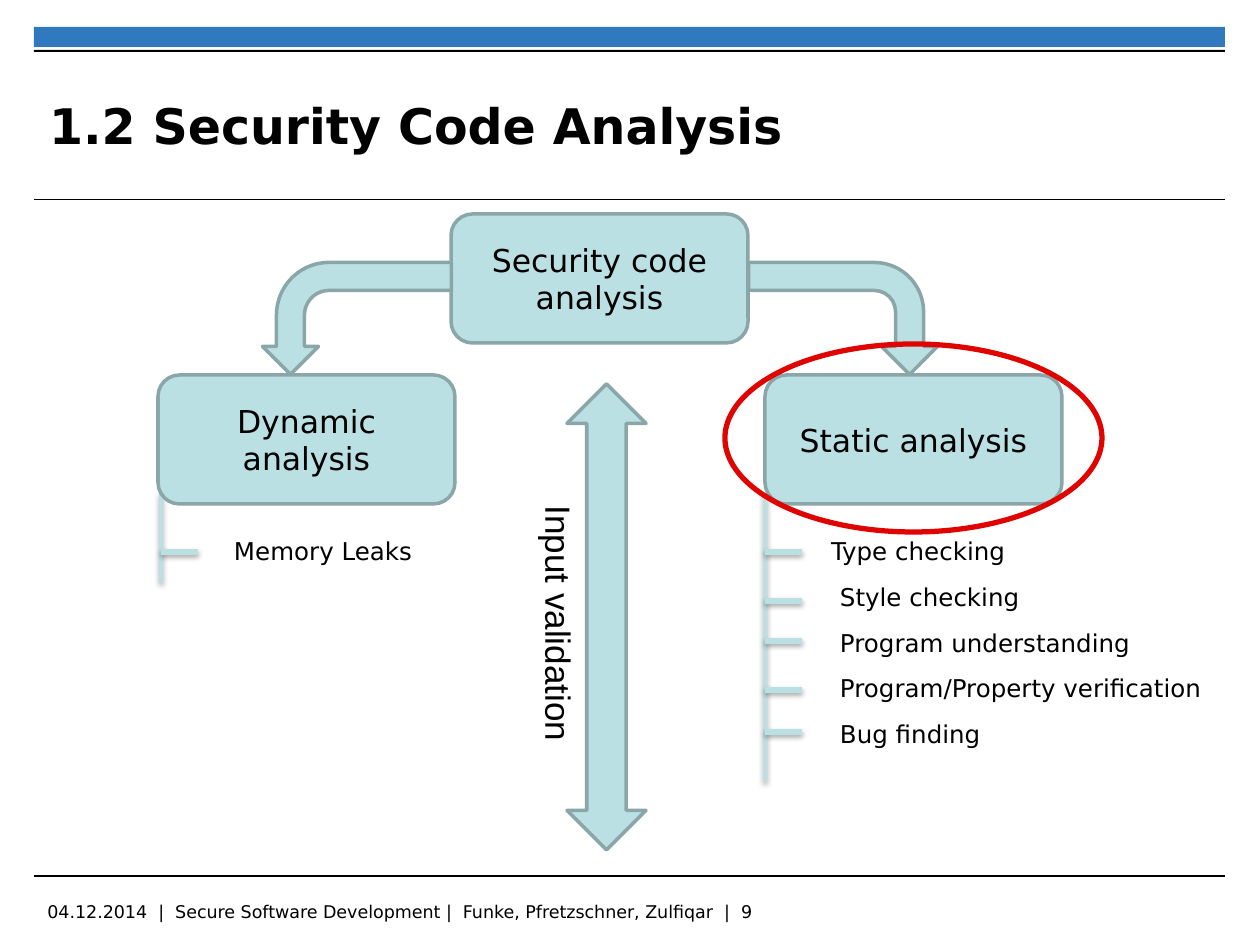
from lxml import etree
from pptx import Presentation
from pptx.dml.color import RGBColor
from pptx.enum.shapes import MSO_CONNECTOR as Connector, MSO_SHAPE as Shape
from pptx.enum.text import MSO_ANCHOR as Anchor, MSO_AUTO_SIZE as AutoSize, PP_ALIGN as Align
from pptx.oxml.ns import qn
from pptx.util import Emu, Pt

PX_PER_INCH = 126


def px(length):
    return Emu(round(length * 914400 / PX_PER_INCH))


def color(hex_string):
    return RGBColor.from_string(hex_string)


class SlideBuilder:
    FONT = "DejaVu Sans"
    INK = "000000"
    TEAL = "BBE0E3"
    EDGE = "8AA6A8"

    def __init__(self, slide):
        self.slide = slide

    def style_text(self, para, size, font=FONT, bold=False):
        for run in para.runs:
            run.font.name = font
            run.font.size = Pt(size)
            run.font.bold = bold
            run.font.color.rgb = color(self.INK)

    def title(self, text, left, top, width, height):
        box = self.slide.shapes.title
        box.left, box.top, box.width, box.height = map(px, (left, top, width, height))
        frame = box.text_frame
        frame.text = text
        frame.auto_size = AutoSize.NONE
        frame.vertical_anchor = Anchor.MIDDLE
        frame.margin_left = frame.margin_right = frame.margin_top = frame.margin_bottom = 0
        frame.paragraphs[0].alignment = Align.LEFT
        self.style_text(frame.paragraphs[0], 28, bold=True)

    def shape(self, kind, left, top, width, height, fill=TEAL, line=EDGE, weight=2, text=""):
        shape = self.slide.shapes.add_shape(kind, *map(px, (left, top, width, height)))
        shape.shadow.inherit = False
        if fill:
            shape.fill.solid()
            shape.fill.fore_color.rgb = color(fill)
        else:
            shape.fill.background()
        if line:
            shape.line.color.rgb = color(line)
            shape.line.width = Pt(weight)
        else:
            shape.line.fill.background()
        if text:
            frame = shape.text_frame
            frame.text = text
            frame.word_wrap = True
            frame.vertical_anchor = Anchor.MIDDLE
            frame.paragraphs[0].alignment = Align.CENTER
            self.style_text(frame.paragraphs[0], 18)
        return shape

    def bent_arrow(self, left, top, width, height, bend, flipped=False):
        arrow = self.shape(Shape.BENT_ARROW, left, top, width, height)
        arrow.rotation = 90
        arrow.adjustments[3] = bend
        if flipped:
            arrow.element.spPr.find(qn("a:xfrm")).set("flipV", "1")

    def line(self, x1, y1, x2, y2, hex_string=INK, weight=0.6, shadow=False):
        line = self.slide.shapes.add_connector(Connector.STRAIGHT, *map(px, (x1, y1, x2, y2)))
        line.line.color.rgb = color(hex_string)
        line.line.width = Pt(weight)
        effects = etree.SubElement(line.element.spPr, qn("a:effectLst"))
        if shadow:
            outer = etree.SubElement(effects, qn("a:outerShdw"), blurRad=str(Pt(3.1)),
                                     dist=str(Pt(1.7)), dir="5400000", rotWithShape="0")
            black = etree.SubElement(outer, qn("a:srgbClr"), val=self.INK)
            etree.SubElement(black, qn("a:alpha"), val="36000")

    def branch(self, x, top, bottom, ticks):
        self.line(x, top, x, bottom, self.TEAL, 2, shadow=True)
        for y in ticks:
            self.line(x, y, x + 37, y, self.TEAL, 3, shadow=True)

    def text(self, text, left, top, width, height, size, font=FONT):
        box = self.slide.shapes.add_textbox(*map(px, (left, top, width, height)))
        frame = box.text_frame
        frame.word_wrap = True
        frame.vertical_anchor = Anchor.MIDDLE
        frame.text = text
        for para in frame.paragraphs:
            self.style_text(para, size, font)
        return box

    def item_list(self, items, left, top, width, indent=0):
        """Items on an even pitch; those after the first are indented."""
        box = self.text("\n".join(items), left, top, width, 46 * len(items), 14)
        frame = box.text_frame
        frame.vertical_anchor = Anchor.TOP
        frame.margin_left = frame.margin_right = frame.margin_top = frame.margin_bottom = 0
        for index, para in enumerate(frame.paragraphs):
            para.line_spacing = Pt(26.1)
            if index:
                para._p.get_or_add_pPr().set("indent", str(px(indent)))


def main():
    deck = Presentation()
    deck.slide_width, deck.slide_height = px(1260), px(945)
    page = SlideBuilder(deck.slides.add_slide(deck.slide_layouts[5]))

    # Header and footer
    page.shape(Shape.RECTANGLE, 34, 27, 1191, 20, fill="3079BE", line=None)
    page.shape(Shape.RECTANGLE, 34, 50, 1191, 2, fill=page.INK, line=None)
    for y in (200, 876):
        page.line(34, y, 1225, y)
    page.title("1.2 Security Code Analysis", 49, 67, 915, 116)
    page.text("04.12.2014  |  Secure Software Development |  Funke, Pfretzschner, Zulfiqar  |  9",
              35, 895, 1071, 32, 10)

    # Branches below the two kinds of analysis
    page.branch(161, 493, 582, [552])
    page.branch(765, 493, 781, [552, 601, 641, 690, 732])
    page.item_list(["Memory Leaks"], 234, 520, 220)
    page.item_list(["Type checking", "Style checking", "Program understanding",
                    "Program/Property verification", "Bug finding"], 831, 520, 394, indent=9)

    # Tree of analyses
    for text, left, top in (("Security code analysis", 451, 214),
                            ("Dynamic analysis", 158, 375),
                            ("Static analysis", 765, 375)):
        page.shape(Shape.ROUNDED_RECTANGLE, left, top, 297, 129, text=text)
    page.bent_arrow(787, 224, 112, 189, bend=0.44)
    page.bent_arrow(301, 224, 112, 189, bend=0.47, flipped=True)
    page.shape(Shape.OVAL, 725, 344, 377, 188, fill=None, line="DF0400", weight=3)

    # Input validation axis
    page.shape(Shape.UP_DOWN_ARROW, 567, 384, 79, 466)
    page.text("Input validation", 411, 614, 297, 55, 20, "Arial").rotation = 90

    deck.save("out.pptx")


if __name__ == "__main__":
    main()
